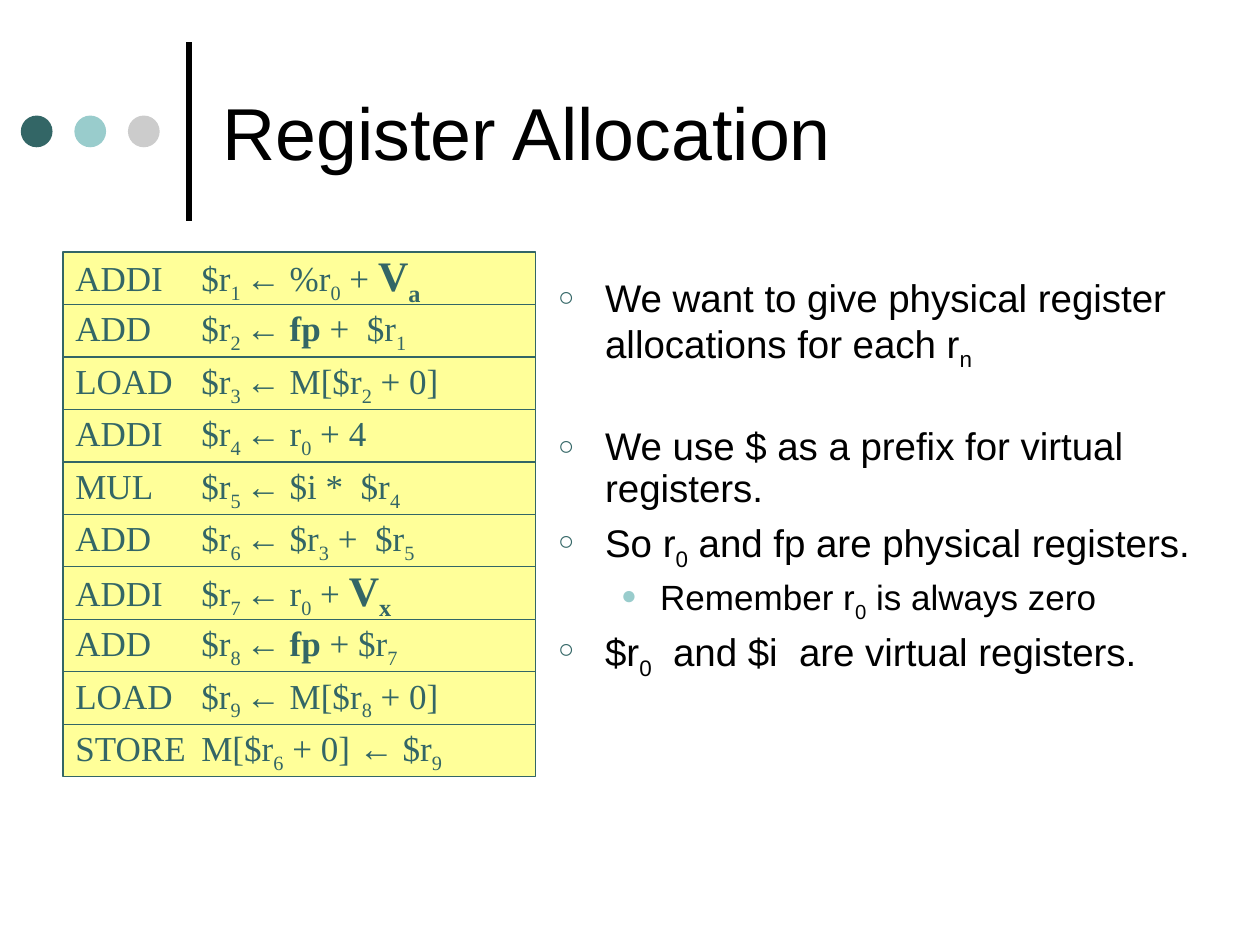
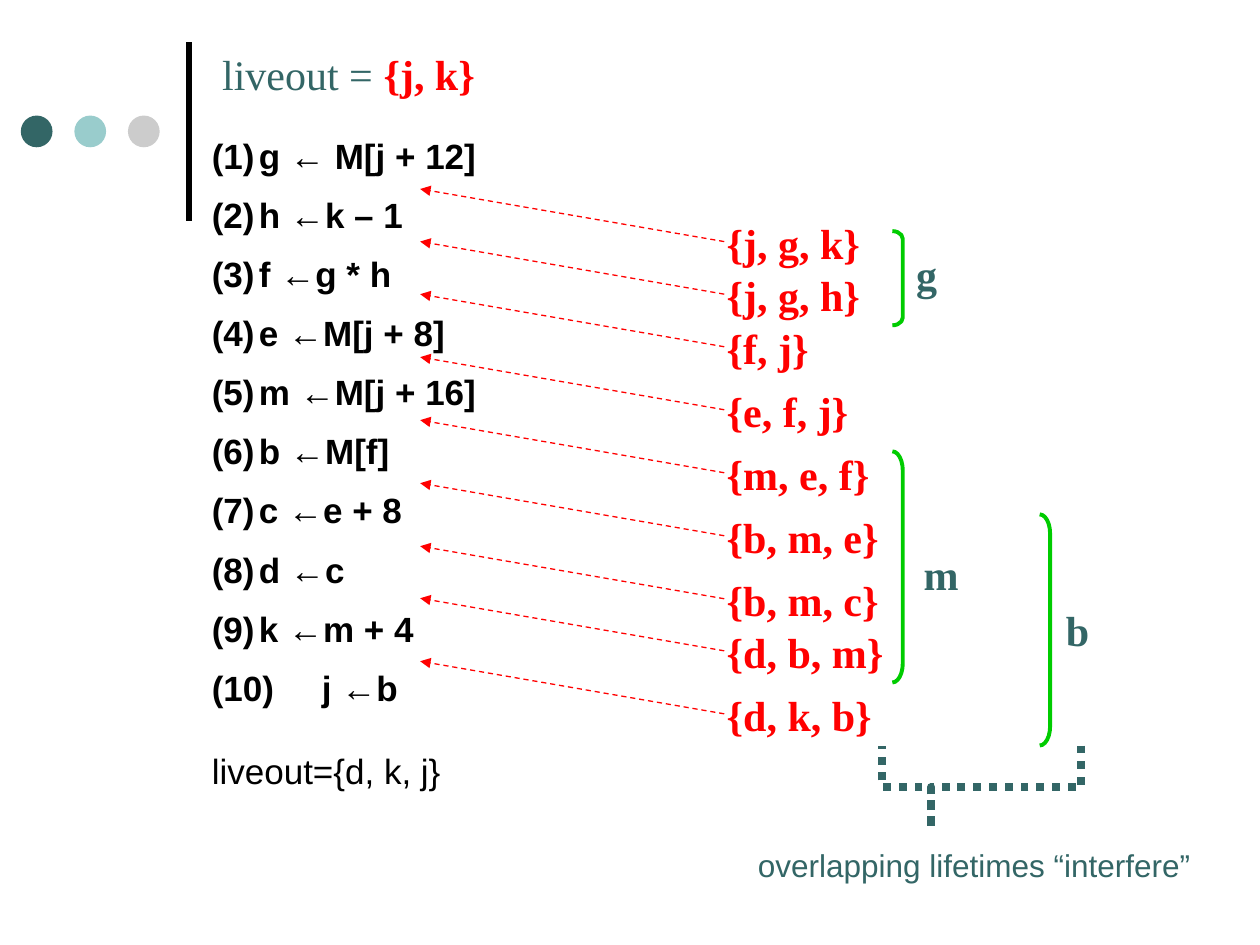
from itertools import groupby

from lxml.etree import SubElement
from pptx import Presentation
from pptx.dml.color import RGBColor
from pptx.enum.dml import MSO_LINE
from pptx.enum.shapes import MSO_CONNECTOR, MSO_SHAPE
from pptx.enum.text import MSO_ANCHOR, PP_ALIGN
from pptx.oxml.ns import qn
from pptx.util import Cm, Pt

BLACK = RGBColor(0x00, 0x00, 0x00)
TEAL = RGBColor(0x33, 0x66, 0x66)
AQUA = RGBColor(0x99, 0xCC, 0xCC)
GREY = RGBColor(0xCC, 0xCC, 0xCC)
YELLOW = RGBColor(0xFF, 0xFF, 0x99)
RED = RGBColor(0xFF, 0x00, 0x00)
GREEN = RGBColor(0x00, 0xCC, 0x00)

SANS = "Arial"
SERIF = "Times New Roman"
SUBSCRIPT, BOLD, LARGE = "~", "|", "^"
ARROW = "←"

INSTRUCTIONS = [
    "ADDI\t$r~1 ~← %r~0~ + ^V~a~^",
    "ADD\t$r~2 ~← |fp| +  $r~1~",
    "LOAD\t$r~3 ~← M[$r~2~ + 0]",
    "ADDI\t$r~4 ~← r~0~ + 4",
    "MUL\t$r~5 ~← $i *  $r~4~",
    "ADD\t$r~6 ~← $r~3~ +  $r~5~",
    "ADDI\t$r~7 ~← r~0~ + ^V~x~^",
    "ADD\t$r~8 ~← |fp| + $r~7~",
    "LOAD\t$r~9 ~← M[$r~8~ + 0]",
    "STORE\tM[$r~6~ + 0] ← $r~9~",
]

# text, level, space before in points
POINTS = [
    ("We want to give physical register allocations for each r~n~", 0, 0),
    ("We use $ as a prefix for virtual registers.", 0, 34),
    ("So r~0~ and fp are physical registers.", 0, 5.5),
    ("Remember r~0~ is always zero", 1, 5),
    ("$r~0~  and $i  are virtual registers.", 0, 5.5),
]
# left margin, hanging indent, bullet, bullet colour, bullet size, text size
LEVELS = [
    (0.95, 0.95, "○", TEAL, 70, 22),
    (2.06, 0.79, "●", AQUA, 75, 20),
]

STATEMENTS = [
    "g ← M[j + 12]", "h ←k – 1", "f ←g * h", "e ←M[j + 8]", "m ←M[j + 16]",
    "b ←M[f]", "c ←e + 8", "d ←c", "k ←m + 4", "j ←b",
]

# live set, height at which its arrow starts
LIVE_SETS = [
    ("{j, g, k}", 4.87), ("{j, g, h}", 5.93), ("{f, j}", 6.99),
    ("{e, f, j}", 8.26), ("{m, e, f}", 9.53), ("{b, m, e}", 10.8),
    ("{b, m, c}", 12.07), ("{d, b, m}", 13.12), ("{d, k, b}", 14.39),
]

# variable, bracket left, top, height, label left, top
LIFETIMES = [
    ("m", 17.99, 9.1, 4.66, 18.37, 10.93),
    ("g", 17.99, 4.66, 1.9, 18.22, 4.88),
    ("b", 20.96, 10.37, 4.66, 21.24, 12.07),
]


def style_paragraph(para, size, name, color, bold=False):
    para.alignment = PP_ALIGN.LEFT
    font = para.font
    font.size, font.name, font.bold = Pt(size), name, bold
    font.color.rgb = color


def write_marked(para, text):
    """Add runs, where marks switch subscript, bold and large on and off."""
    active, letters = frozenset(), []
    for letter in text:
        if letter in (SUBSCRIPT, BOLD, LARGE):
            active ^= {letter}
        else:
            letters.append((letter, active, letter == ARROW))
    for (marks, is_arrow), group in groupby(letters, lambda item: item[1:]):
        span = para.add_run()
        span.text = "".join(item[0] for item in group)
        if is_arrow:
            span.font.name = SANS
        if marks & {BOLD, LARGE}:
            span.font.bold = True
        if LARGE in marks:
            span.font.size = Pt(24)
        if SUBSCRIPT in marks:
            span.font._element.set("baseline", "-25000") if hasattr(
                span.font, "_element") else span._r.get_or_add_rPr().set("baseline", "-25000")


def set_indent(para, left, hanging):
    properties = para._p.get_or_add_pPr()
    properties.set("marL", str(Cm(left)))
    properties.set("indent", str(-Cm(hanging)))


def add_bullet(para, character, color, percent):
    properties = para._p.get_or_add_pPr()
    bullet_color = SubElement(properties, qn("a:buClr"))
    SubElement(bullet_color, qn("a:srgbClr"), val=str(color))
    SubElement(properties, qn("a:buSzPct"), val=str(percent * 1000))
    SubElement(properties, qn("a:buFont"), typeface=SANS)
    SubElement(properties, qn("a:buChar"), char=character)


def add_tabs(para, *positions):
    tabs = SubElement(para._p.get_or_add_pPr(), qn("a:tabLst"))
    for position in positions:
        SubElement(tabs, qn("a:tab"), pos=str(Cm(position)), algn="l")


def add_box(page, left, top, width, height):
    """Add an empty wrapping text box and return its text frame."""
    frame = page.shapes.add_textbox(Cm(left), Cm(top), Cm(width), Cm(height)).text_frame
    frame.word_wrap = True
    return frame


def add_label(page, text, left, top, width, size, name, color, bold=False):
    para = add_box(page, left, top, width, 1.06).paragraphs[0]
    style_paragraph(para, size, name, color, bold)
    para.add_run().text = text
    return para


def add_shape(shapes, kind, left, top, width, height, fill=None, line=None, weight=0.75):
    shape = shapes.add_shape(kind, Cm(left), Cm(top), Cm(width), Cm(height))
    shape.shadow.inherit = False
    paint(shape, fill, line, weight)
    return shape


def paint(shape, fill, line, weight):
    if fill is None:
        shape.fill.background()
    else:
        shape.fill.solid()
        shape.fill.fore_color.rgb = fill
    if line is None:
        shape.line.fill.background()
    else:
        shape.line.color.rgb = line
        shape.line.width = Pt(weight)


def add_line(page, start, end, color, weight):
    connector = page.shapes.add_connector(
        MSO_CONNECTOR.STRAIGHT, *(Cm(value) for value in (*start, *end)))
    connector.line.color.rgb = color
    connector.line.width = Pt(weight)
    SubElement(connector._element.spPr, qn("a:effectLst"))
    return connector


def add_dashed_arrow(page, start, end):
    line = add_line(page, start, end, RED, 0.75).line
    line.dash_style = MSO_LINE.DASH
    SubElement(line._get_or_add_ln(), qn("a:tailEnd"), type="triangle")


def add_page(deck):
    """Add a blank page with the shared rule and three dots."""
    page = deck.slides.add_slide(deck.slide_layouts[6])
    add_line(page, (3.81, 4.45), (3.81, 0.85), BLACK, 3)
    for index, color in enumerate((TEAL, AQUA, GREY)):
        add_shape(page.shapes, MSO_SHAPE.OVAL, 0.42 + 1.08 * index, 2.33, 0.64, 0.64, color)
    return page


def add_title(page, text):
    frame = add_box(page, 4.23, 0.53, 19.47, 4.23)
    frame.vertical_anchor = MSO_ANCHOR.MIDDLE
    style_paragraph(frame.paragraphs[0], 42, SANS, BLACK)
    frame.paragraphs[0].add_run().text = text


def add_paragraph(frame, index):
    return frame.add_paragraph() if index else frame.paragraphs[0]


def add_points(page):
    frame = add_box(page, 11, 5.5, 13.4, 12.28)
    for index, (text, level, space) in enumerate(POINTS):
        left, hanging, character, color, percent, size = LEVELS[level]
        para = add_paragraph(frame, index)
        para.level = level
        para.line_spacing, para.space_before = 0.9, Pt(space)
        set_indent(para, left, hanging)
        add_bullet(para, character, color, percent)
        style_paragraph(para, size, SANS, BLACK)
        write_marked(para, text)


def add_instruction_rows(page):
    height = 10.58 / len(INSTRUCTIONS)
    rows = page.shapes.add_group_shape().shapes
    for index, text in enumerate(INSTRUCTIONS):
        row = add_shape(rows, MSO_SHAPE.RECTANGLE, 1.27, 5.08 + height * index,
                        9.53, height, YELLOW, TEAL)
        row.text_frame.word_wrap = True
        row.text_frame.vertical_anchor = MSO_ANCHOR.MIDDLE
        para = row.text_frame.paragraphs[0]
        add_tabs(para, 0, 2.54)
        style_paragraph(para, 20, SERIF, TEAL)
        write_marked(para, text)


def add_statements(page):
    frame = add_box(page, 4.02, 2.75, 10.84, 13.97)
    lines = [f"({number})\t{text}" for number, text in enumerate(STATEMENTS, 1)]
    lines.append("liveout={d, k, j}")
    last = len(lines) - 1
    for index, text in enumerate(lines):
        para = add_paragraph(frame, index)
        para.line_spacing = 0.8 if index in (0, last) else 1.2
        para.space_before = Pt({0: 0, last: 28.4}.get(index, 5))
        set_indent(para, 0.95, 0.95)
        add_tabs(para, 0, 2.54)
        style_paragraph(para, 20, SANS, BLACK, bold=index != last)
        para.add_run().text = text


def add_live_sets(page):
    for text, top in LIVE_SETS:
        para = add_label(page, text, 14.4, top - 0.42, 3.7, 24, SERIF, RED, True)
        para.line_spacing = 0.8
        add_dashed_arrow(page, (14.6, top), (8.47, top - 1.06))


def add_lifetimes(page):
    width = 0.21
    for name, left, top, height, label_left, label_top in LIFETIMES:
        bracket = add_shape(page.shapes, MSO_SHAPE.RIGHT_BRACKET, left, top, width, height,
                            line=GREEN, weight=2.25)
        bracket.adjustments[0] = height / width / 12
        add_label(page, name, label_left, label_top, 1.3, 24, SERIF, TEAL, True)


def add_interference_brace(page):
    left, stem, right = 17.78, 18.77, 21.8
    top, middle, bottom = 15.03, 15.87, 16.71
    corners = [(right, middle), (stem, middle), (stem, bottom), (stem, middle),
               (left, middle), (left, top)]
    builder = page.shapes.build_freeform(Cm(right), Cm(top))
    builder.add_line_segments([(Cm(x), Cm(y)) for x, y in corners], close=False)
    brace = builder.convert_to_shape()
    brace.shadow.inherit = False
    paint(brace, None, TEAL, 4.5)
    brace.line.dash_style = MSO_LINE.ROUND_DOT
    add_label(page, "overlapping lifetimes “interfere”", 15.03, 16.93, 9.6, 18, SANS, TEAL)


def main():
    deck = Presentation()
    deck.slide_width, deck.slide_height = Cm(25.4), Cm(19.05)

    allocation = add_page(deck)
    add_title(allocation, "Register Allocation")
    add_points(allocation)
    add_instruction_rows(allocation)

    liveness = add_page(deck)
    add_statements(liveness)
    add_live_sets(liveness)
    heading = add_label(liveness, "liveout = ", 4.23, 0.85, 6, 24, SERIF, TEAL)
    live_out = heading.add_run()
    live_out.text = "{j, k}"
    live_out.font.bold = True
    live_out.font.color.rgb = RED
    add_lifetimes(liveness)
    add_interference_brace(liveness)

    deck.save("out.pptx")


if __name__ == "__main__":
    main()
